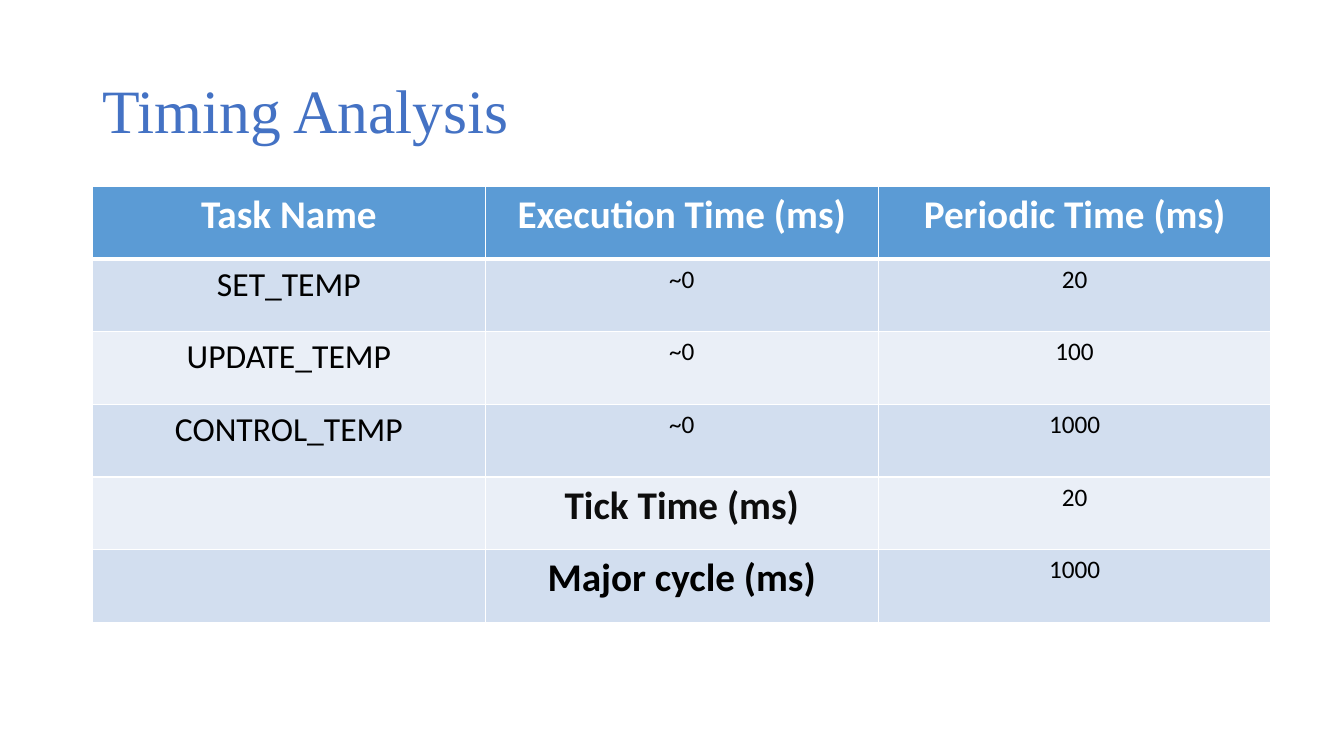
"""Build the Timing Analysis slide with its task timing table."""
from dataclasses import dataclass

from lxml import etree
from pptx import Presentation
from pptx.dml.color import RGBColor
from pptx.enum.text import MSO_ANCHOR, PP_ALIGN
from pptx.oxml.ns import qn
from pptx.util import Cm, Pt

MIDDLE = MSO_ANCHOR.MIDDLE
CENTER = PP_ALIGN.CENTER


@dataclass(frozen=True)
class Theme:
    title_font: str = "Times New Roman"
    body_font: str = "Calibri"
    title: str = "4472C4"
    header: str = "5B9BD5"
    bands: tuple = ("D2DEEF", "EAEFF7")
    white: str = "FFFFFF"
    black: str = "000000"
    near_black: str = "0D0D0D"
    title_size: int = 44
    label_size: int = 28
    task_size: int = 24
    value_size: int = 18


THEME = Theme()


def style(paragraph, font_name, size, color, bold=False):
    font = paragraph.font
    font.name, font.size, font.bold = font_name, Pt(size), bold
    font.color.rgb = RGBColor.from_string(color)


def add_borders(cell, bottom_width):
    properties = cell._tc.get_or_add_tcPr()
    widths = {"a:lnL": 1, "a:lnR": 1, "a:lnT": 1, "a:lnB": bottom_width}
    for position, (side, width) in enumerate(widths.items()):
        line = etree.Element(qn(side), w=str(Pt(width)))
        fill = etree.SubElement(line, qn("a:solidFill"))
        etree.SubElement(fill, qn("a:srgbClr"), val=THEME.white)
        properties.insert(position, line)


presentation = Presentation()
presentation.slide_width, presentation.slide_height = Cm(33.87), Cm(19.05)
slide = presentation.slides.add_slide(presentation.slide_layouts[6])

title = slide.shapes.add_textbox(Cm(2.33), Cm(1.01), Cm(29.21), Cm(3.68)).text_frame
title.word_wrap = True
title.vertical_anchor = MIDDLE
heading = title.paragraphs[0]
heading.text = "Timing Analysis"
heading.line_spacing = 0.9
style(heading, THEME.title_font, THEME.title_size, THEME.title)

timings = [
    ("Task Name", "Execution Time (ms)", "Periodic Time (ms)"),
    ("SET_TEMP", "~0", "20"),
    ("UPDATE_TEMP", "~0", "100"),
    ("CONTROL_TEMP", "~0", "1000"),
    ("", "Tick Time (ms)", "20"),
    ("", "Major cycle (ms)", "1000"),
]
summary_colors = {"Tick Time (ms)": THEME.near_black, "Major cycle (ms)": THEME.black}

timing_table = slide.shapes.add_table(
    len(timings), len(timings[0]), Cm(2.33), Cm(4.7), Cm(29.7), Cm(10.98)
).table

for row, entries in enumerate(timings):
    for column, entry in enumerate(entries):
        cell = timing_table.cell(row, column)
        is_header = row == 0
        background = THEME.header if is_header else THEME.bands[(row - 1) % 2]
        cell.fill.solid()
        cell.fill.fore_color.rgb = RGBColor.from_string(background)
        add_borders(cell, 3 if is_header else 1)

        is_label = is_header or entry in summary_colors
        if is_label:
            size = THEME.label_size
        else:
            size = THEME.task_size if column == 0 else THEME.value_size
        color = THEME.white if is_header else summary_colors.get(entry, THEME.black)
        paragraph = cell.text_frame.paragraphs[0]
        paragraph.text = entry
        paragraph.alignment = CENTER
        style(paragraph, THEME.body_font, size, color, is_label)

presentation.save("out.pptx")
